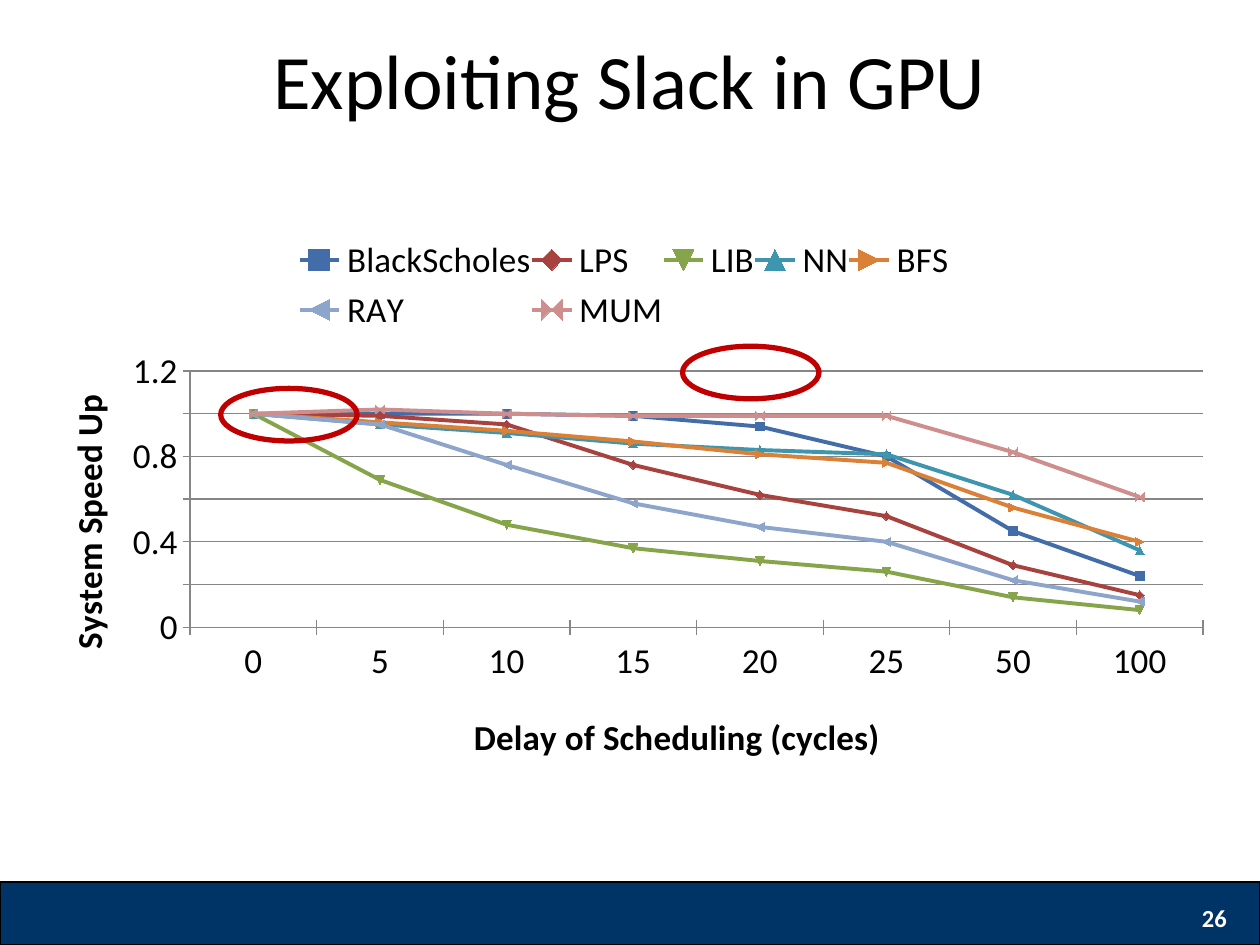
from pptx import Presentation
from pptx.chart.data import CategoryChartData as Data
from pptx.dml.color import RGBColor
from pptx.enum.chart import XL_CHART_TYPE as Kind, XL_LEGEND_POSITION as Spot
from pptx.enum.chart import XL_TICK_MARK as Tick
from pptx.enum.shapes import MSO_SHAPE as Form
from pptx.enum.text import MSO_ANCHOR as Anchor, PP_ALIGN as Align
from pptx.oxml import parse_xml
from pptx.oxml.ns import nsdecls, qn
from pptx.util import Cm, Pt

FACE = "Calibri"
GREY = "868686"
CATS = ["0", "5", "10", "15", "20", "25", "50", "100"]
ROWS = [
    ("BlackScholes", "426DA9", (1, 1, 1, 0.99, 0.94, 0.8, 0.45, 0.24)),
    ("LPS", "A8423F", (1, 0.99, 0.95, 0.76, 0.62, 0.52, 0.29, 0.15)),
    ("LIB", "86A44A", (1, 0.69, 0.48, 0.37, 0.31, 0.26, 0.14, 0.08)),
    ("NN", "3D96AE", (1, 0.95, 0.91, 0.86, 0.83, 0.81, 0.62, 0.36)),
    ("BFS", "DA8137", (1, 0.96, 0.92, 0.87, 0.81, 0.77, 0.56, 0.4)),
    ("RAY", "8EA5CB", (1, 0.95, 0.76, 0.58, 0.47, 0.4, 0.22, 0.12)),
    ("MUM", "CE8E8D", (1, 1.02, 1, 0.99, 0.99, 0.99, 0.82, 0.61)),
]


def paint(part, code):
    """Give a fill or a line one solid colour."""
    part.fill.solid() if hasattr(part, "fill") else part.solid()
    fill = part.fill if hasattr(part, "fill") else part
    fill.fore_color.rgb = RGBColor.from_string(code)


def style(font, size, code="000000", bold=False):
    font.name, font.size, font.bold = FACE, Pt(size), bold
    font.color.rgb = RGBColor.from_string(code)


def write(shape, text, size, align, code="000000", bold=False):
    frame = shape.text_frame
    frame.word_wrap = True
    frame.vertical_anchor = Anchor.MIDDLE
    frame.text = text
    para = frame.paragraphs[0]
    para.alignment = align
    style(para.font, size, code, bold)


def draw(slide, form, box, line, width, fill=None):
    shape = slide.shapes.add_shape(form, *map(Cm, box))
    shape.shadow.inherit = False
    if fill:
        paint(shape.fill, fill)
    else:
        shape.fill.background()
    paint(shape.line, line)
    shape.line.width = Pt(width)


def place(node, index, inner=False, **spots):
    """Set a chart part's layout in fractions of the chart."""
    for old in node.findall(qn("c:layout")):
        node.remove(old)
    rules = '<c:layoutTarget val="inner"/>' if inner else ""
    rules += '<c:xMode val="edge"/><c:yMode val="edge"/>'
    rules += "".join(f'<c:{key} val="{val}"/>' for key, val in spots.items())
    node.insert(index, parse_xml(
        f'<c:layout {nsdecls("c")}><c:manualLayout>{rules}'
        "</c:manualLayout></c:layout>"))


def set_axis(axis, text, x, y):
    title = axis.axis_title
    title.text_frame.text = text
    style(title.text_frame.paragraphs[0].font, 20, bold=True)
    place(title._element, 1, x=x, y=y)
    axis.major_tick_mark = Tick.CROSS
    axis.minor_tick_mark = Tick.NONE
    paint(axis.format.line, GREY)


def add_lines(slide, box):
    data = Data()
    data.categories = CATS
    for name, _, vals in ROWS:
        data.add_series(name, vals)
    chart = slide.shapes.add_chart(
        Kind.LINE_MARKERS, *map(Cm, box), data).chart
    chart.has_title = False
    style(chart.font, 20)
    plot = chart.plots[0]
    plot.vary_by_categories = False

    # Series colours
    for row, (_, code, _) in zip(plot.series, ROWS):
        row.smooth = False
        paint(row.format.line, code)
        row.format.line.width = Pt(2.25)
        paint(row.marker.format.fill, code)
        paint(row.marker.format.line, code)

    # Axes and grid
    set_axis(chart.category_axis, "Delay of Scheduling (cycles)", 0.37, 0.87)
    axis = chart.value_axis
    set_axis(axis, "System Speed Up", 0.03, 0.3)
    axis.minimum_scale, axis.maximum_scale, axis.major_unit = 0, 1.2, 0.2
    axis.tick_labels.number_format = "General"
    axis.tick_labels.number_format_is_linked = False
    axis.has_major_gridlines = True
    paint(axis.major_gridlines.format.line, GREY)
    area = chart._chartSpace.chart.plotArea
    place(area, 0, inner=True, x=0.14, y=0.27, w=0.84, h=0.46)

    # Legend
    chart.has_legend = True
    chart.legend.position = Spot.TOP
    chart.legend.include_in_layout = False
    style(chart.legend.font, 20)
    place(chart.legend._element, 1, x=0.23, y=0.02, w=0.54, h=0.19)


def main():
    deck = Presentation()
    deck.slide_width, deck.slide_height = Cm(25.4), Cm(19.05)
    slide = deck.slides.add_slide(deck.slide_layouts[5])

    # Footer bar and title
    draw(slide, Form.RECTANGLE, (0, 17.78, 25.4, 1.27), "000000", 0.75, "003366")
    title = slide.shapes.title
    title.left, title.top, title.width, title.height = map(
        Cm, (1.27, 0, 22.86, 3.18))
    write(title, "Exploiting Slack in GPU", 44, Align.CENTER)

    # Chart with two ringed spots
    add_lines(slide, (0.43, 4.45, 24.31, 11.23))
    for left, top in ((13.76, 6.98), (4.45, 7.83)):
        draw(slide, Form.OVAL, (left, top, 2.75, 1.06), "C00000", 3)

    # Page number
    page = slide.shapes.add_textbox(*map(Cm, (19.05, 17.99, 5.93, 1.01)))
    write(page, "26", 14, Align.RIGHT, "FFFFFF", True)
    deck.save("out.pptx")


if __name__ == "__main__":
    main()
